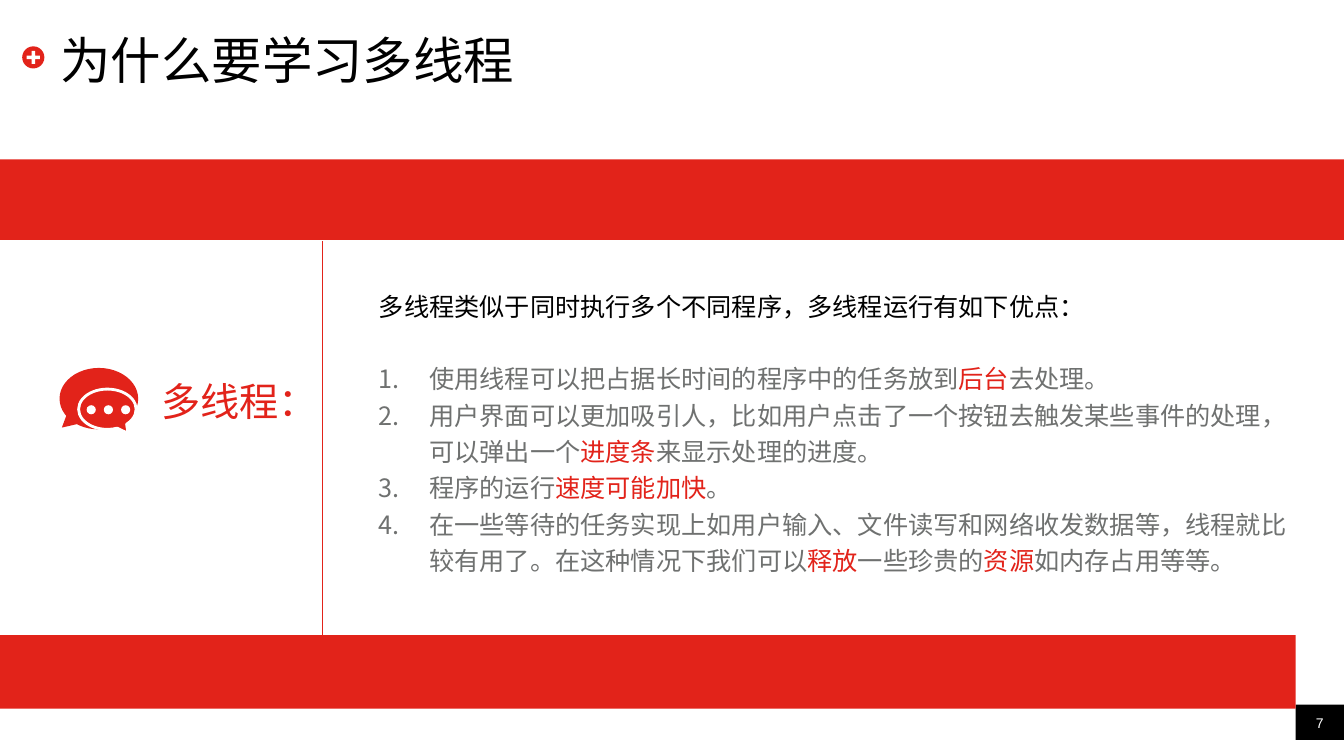
import pptx
import pptx.util
import pptx.dml.color
import pptx.enum.shapes
import pptx.enum.text
import pptx.oxml.ns
import lxml.etree
from dataclasses import dataclass

TITLE = "为什么要学习多线程"
LABEL = "多线程："
LEAD = "多线程类似于同时执行多个不同程序，多线程运行有如下优点："
ITEMS = [
    [("使用线程可以把占据长时间的程序中的任务放到", "gray"), ("后台", "red"), ("去处理。", "gray")],
    [("用户界面可以更加吸引人，比如用户点击了一个按钮去触发某些事件的处理，可以弹出一个", "gray"),
     ("进度条", "red"), ("来显示处理的进度。", "gray")],
    [("程序的运行", "gray"), ("速度可能加快", "red"), ("。", "gray")],
    [("在一些等待的任务实现上如用户输入、文件读写和网络收发数据等，线程就比较有用了。在这种情况下我们可以", "gray"),
     ("释放", "red"), ("一些珍贵的", "gray"), ("资源", "red"), ("如内存占用等等。", "gray")],
]
PAGE = "7"


@dataclass
class Theme:
    red: str = "E2231A"
    gray: str = "6F7170"
    black: str = "000000"
    white: str = "FFFFFF"
    main: str = "Noto Sans CJK SC"
    small: str = "Arial"
    head: int = 36
    label: int = 28
    body: int = 18
    page: int = 10
    pitch: float = 25.9


theme = Theme()
Pt, Inches = pptx.util.Pt, pptx.util.Inches
KIND = pptx.enum.shapes.MSO_SHAPE
ANCHOR = pptx.enum.text.MSO_ANCHOR
ALIGN = pptx.enum.text.PP_ALIGN
FIT = pptx.enum.text.MSO_AUTO_SIZE
qn = pptx.oxml.ns.qn

DOT, STEP = (6.45, 53.6, 0.68, 1.2), 1.28
SHAPES = [
    (KIND.OVAL, (1.65, 6.13, 1.65, 2.93), "red", []),
    (KIND.CROSS, (1.99, 6.73, 0.98, 1.73), "white", [0.37]),
    (KIND.RECTANGLE, (96.4, 93.2, 3.6, 4.67), "black", []),
    (KIND.OVAL_CALLOUT, (4.43, 48.67, 5.85, 8.13), "red", [-0.47, 0.47]),
    (KIND.OVAL_CALLOUT, (5.85, 51.47, 4.28, 5.33), "red", [-0.36, 0.6]),
    *[(KIND.FLOWCHART_CONNECTOR, (DOT[0] + i * STEP, *DOT[1:]), "white", []) for i in range(3)],
    (KIND.RECTANGLE, (0, 21.07, 100, 10.67), "red", []),
    (KIND.RECTANGLE, (0, 84, 96.4, 9.73), "red", []),
]
FRONT = 4

deck = pptx.Presentation()
deck.slide_width, deck.slide_height = Inches(13.33), Inches(7.5)
slide = deck.slides.add_slide(deck.slide_layouts[5])


def place(area):
    sides = (deck.slide_width, deck.slide_height) * 2
    return [round(part * side / 100) for part, side in zip(area, sides)]


def tint(name):
    return pptx.dml.color.RGBColor.from_string(getattr(theme, name))


def apply(thing, form):
    for key, value in form.items():
        setattr(thing, key, value)


def write(para, text, size, color, face=theme.main):
    run = para.add_run()
    run.text = text
    apply(run.font, {"size": Pt(size), "name": face, "bold": False})
    run.font.color.rgb = tint(color)
    east = lxml.etree.Element(qn("a:ea"), typeface=face)
    run.font._element.find(qn("a:latin")).addnext(east)


def frame(box, area, **form):
    apply(box, dict(zip(("left", "top", "width", "height"), place(area))))
    apply(box.text_frame, {"word_wrap": True, "auto_size": FIT.NONE, **form})
    return box.text_frame


def text_box(area, **form):
    return frame(slide.shapes.add_textbox(0, 0, 0, 0), area, **form)


bare = dict.fromkeys(("margin_left", "margin_top", "margin_right", "margin_bottom"), 0)

drawn = []
for kind, area, color, bends in SHAPES:
    shape = slide.shapes.add_shape(kind, *place(area))
    shape.shadow.inherit = False
    shape.fill.solid()
    shape.fill.fore_color.rgb = tint(color)
    shape.line.fill.background()
    for spot, bend in enumerate(bends):
        shape.adjustments[spot] = bend
    drawn.append(shape)

front = drawn[FRONT]
front.line.color.rgb = tint("white")
front.line.width = Pt(2)
front._element.spPr.find(qn("a:xfrm")).set("flipH", "1")

head = frame(slide.shapes.title, (4.5, 4, 90.85, 7.6), vertical_anchor=ANCHOR.MIDDLE, **bare)
head.paragraphs[0].alignment = ALIGN.LEFT
write(head.paragraphs[0], TITLE, theme.head, "black")

page = text_box((96.4, 93.2, 3.6, 3.6), vertical_anchor=ANCHOR.BOTTOM, **bare)
page.paragraphs[0].alignment = ALIGN.CENTER
write(page.paragraphs[0], PAGE, theme.page, "white", theme.small)

label = text_box((11.25, 49.2, 13.2, 7.6), word_wrap=False)
write(label.paragraphs[0], LABEL, theme.label, "red")

body = text_box((27.46, 37.07, 70.14, 40.13))
lead = body.paragraphs[0]
lead.line_spacing = Pt(theme.pitch)
write(lead, LEAD, theme.body, "black")
for rank, item in enumerate(ITEMS):
    para = body.add_paragraph()
    apply(para, {"line_spacing": Pt(theme.pitch), "space_before": Pt(0 if rank else theme.pitch)})
    props = para._p.get_or_add_pPr()
    props.set("marL", str(Inches(0.5)))
    props.set("indent", str(-Inches(0.5)))
    lxml.etree.SubElement(props, qn("a:buFont"), typeface=theme.main)
    lxml.etree.SubElement(props, qn("a:buAutoNum"), type="arabicPeriod")
    for text, color in item:
        write(para, text, theme.body, color)

rule = slide.shapes.add_connector(
    pptx.enum.shapes.MSO_CONNECTOR.STRAIGHT, *place((24, 31.87, 24, 85.87)))
rule.line.color.rgb = tint("red")
rule.line.width = Pt(0.75)
lxml.etree.SubElement(rule._element.spPr, qn("a:effectLst"))

deck.save("out.pptx")
